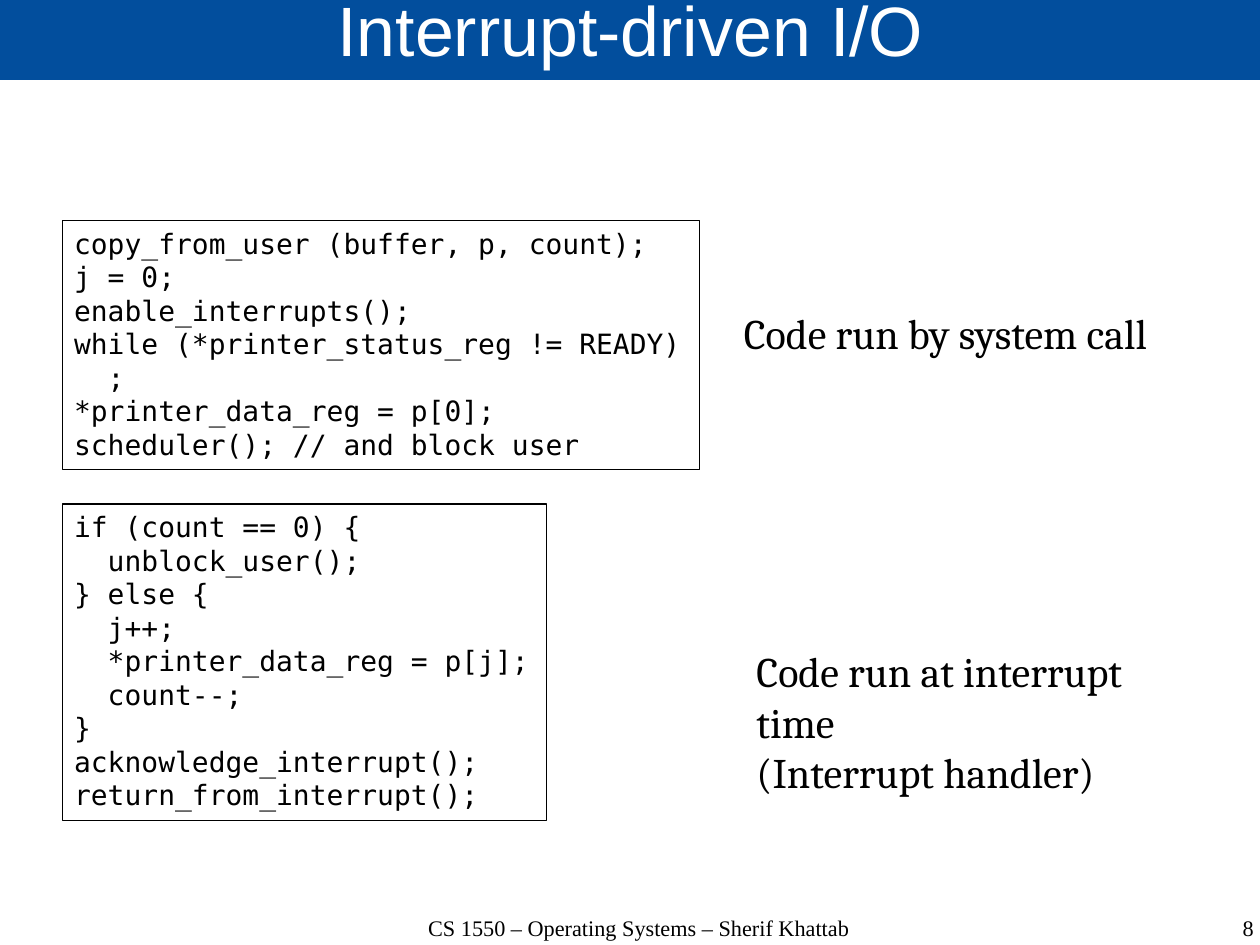
from pptx import Presentation
from pptx.dml.color import RGBColor
from pptx.enum import shapes, text
from pptx.util import Inches, Pt

BLUE = RGBColor(0x02, 0x4E, 0x9D)
WHITE = RGBColor(0xFF, 0xFF, 0xFF)
BLACK = RGBColor(0x00, 0x00, 0x00)
CM_PER_INCH = 2.54

SYSTEM_CALL_CODE = """copy_from_user (buffer, p, count);
j = 0;
enable_interrupts();
while (*printer_status_reg != READY)
  ;
*printer_data_reg = p[0];
scheduler(); // and block user"""

HANDLER_CODE = """if (count == 0) {
  unblock_user();
} else {
  j++;
  *printer_data_reg = p[j];
  count--;
}
acknowledge_interrupt();
return_from_interrupt();"""


def write(frame, words, font, size, color=BLACK, align=text.PP_ALIGN.LEFT, spacing=None):
    """Fill a text frame with one paragraph per line of words."""
    frame.text = words
    for paragraph in frame.paragraphs:
        paragraph.alignment = align
        paragraph.line_spacing = spacing
        paragraph.font.name = font
        paragraph.font.size = Pt(size)
        paragraph.font.color.rgb = color


def clear_margins(frame):
    frame.margin_left = frame.margin_right = 0
    frame.margin_top = frame.margin_bottom = 0


# The slide measures 28 by 21 cm
prs = Presentation()
prs.slide_width = Inches(28 / CM_PER_INCH)
prs.slide_height = Inches(21 / CM_PER_INCH)
slide = prs.slides.add_slide(prs.slide_layouts[6])

# Title band
title = slide.shapes.add_shape(
    shapes.MSO_SHAPE.RECTANGLE, Inches(0), Inches(-0.02), Inches(11.04), Inches(0.72))
title.shadow.inherit = False
title.fill.solid()
title.fill.fore_color.rgb = BLUE
title.line.fill.background()
clear_margins(title.text_frame)
title.text_frame.vertical_anchor = text.MSO_ANCHOR.MIDDLE
write(title.text_frame, "Interrupt-driven I/O", "Arial", 44, WHITE,
      text.PP_ALIGN.CENTER, 0.69)

# Footer and slide number
for left, width, words, align in [
    (3.07, 5.04, "CS 1550 – Operating Systems – Sherif Khattab", text.PP_ALIGN.CENTER),
    (8.44, 2.53, "8", text.PP_ALIGN.RIGHT),
]:
    footer = slide.shapes.add_textbox(Inches(left), Inches(8.01), Inches(width), Inches(0.55))
    footer.text_frame.word_wrap = True
    clear_margins(footer.text_frame)
    write(footer.text_frame, words, "Times New Roman", 14, align=align, spacing=0.96)

# Framed code listings
for top, width, height, code in [
    (1.93, 5.57, 2.18, SYSTEM_CALL_CODE),
    (4.41, 4.23, 2.77, HANDLER_CODE),
]:
    listing = slide.shapes.add_textbox(Inches(0.55), Inches(top), Inches(width), Inches(height))
    listing.line.color.rgb = BLACK
    listing.line.width = Pt(0.75)
    listing.text_frame.word_wrap = False
    write(listing.text_frame, code, "DejaVu Sans Mono", 17.6)

# Captions beside the listings
for left, top, width, height, words in [
    (6.41, 2.64, 3.79, 0.55, "Code run by system call"),
    (6.52, 5.6, 4.06, 0.99, "Code run at interrupt time\n(Interrupt handler)"),
]:
    caption = slide.shapes.add_textbox(Inches(left), Inches(top), Inches(width), Inches(height))
    caption.text_frame.word_wrap = True
    write(caption.text_frame, words, "Cambria", 26.5)

prs.save("out.pptx")
